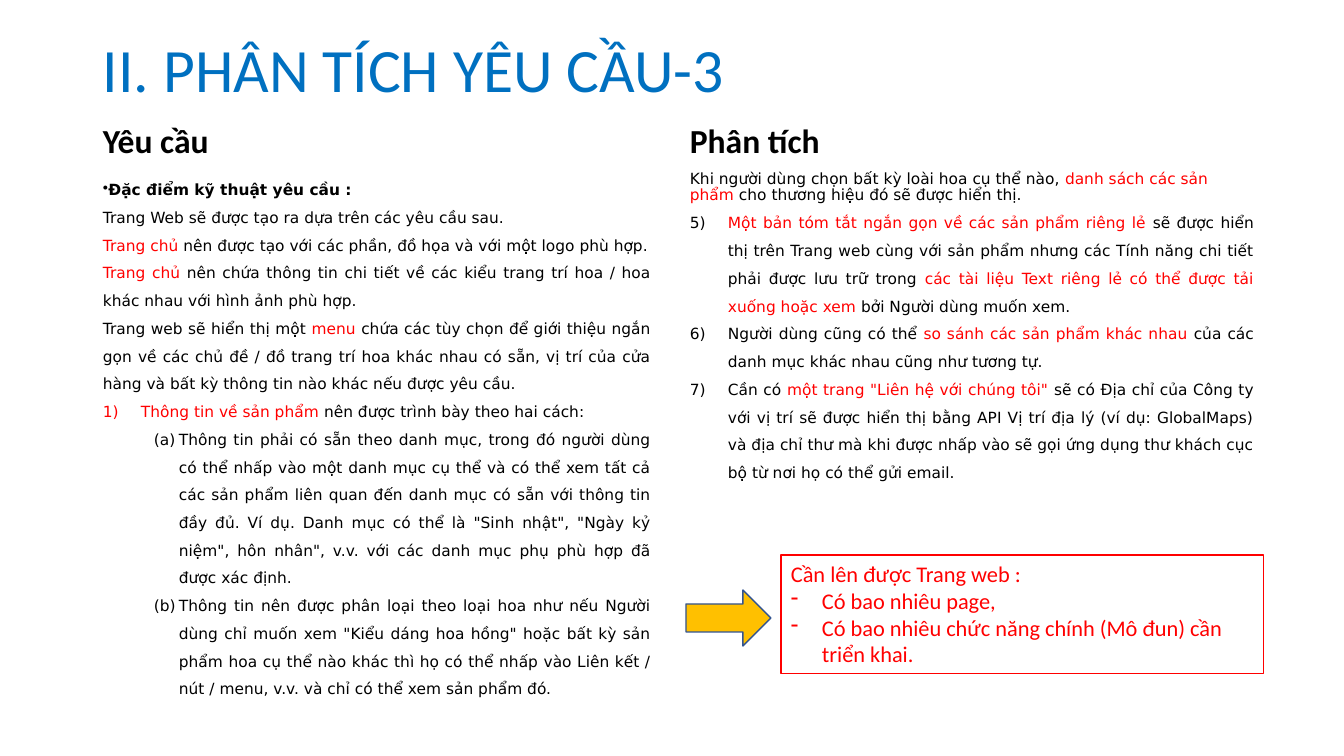
import pptx
import pptx.util
import pptx.dml.color
import pptx.enum.shapes
import pptx.enum.text
import lxml.etree

SCALE = 12192000 / 1344
BLACK, RED, BLUE, AMBER, NAVY = "000000", "FF0000", "0070C0", "FFC000", "325491"
ALIGN = pptx.enum.text.PP_ALIGN
ANCHOR = pptx.enum.text.MSO_ANCHOR
SHAPE = pptx.enum.shapes.MSO_SHAPE

REQUIREMENTS = [
    dict(runs=[("Đặc điểm kỹ thuật yêu cầu :", BLACK)], bold=True, align=ALIGN.LEFT, bullet="•"),
    dict(runs=[("Trang Web sẽ được tạo ra dựa trên các yêu cầu sau.", BLACK)]),
    dict(runs=[("Trang chủ ", RED),
               ("nên được tạo với các phần, đồ họa và với một logo phù hợp.", BLACK)]),
    dict(runs=[("Trang chủ ", RED),
               ("nên chứa thông tin chi tiết về các kiểu trang trí hoa / hoa khác nhau "
                "với hình ảnh phù hợp.", BLACK)]),
    dict(runs=[("Trang web sẽ hiển thị một ", BLACK), ("menu", RED),
               (" chứa các tùy chọn để giới thiệu ngắn gọn về các chủ đề / đồ trang trí hoa "
                "khác nhau có sẵn, vị trí của cửa hàng và bất kỳ thông tin nào khác nếu được "
                "yêu cầu.", BLACK)]),
    dict(runs=[("Thông tin về sản phẩm ", RED), ("nên được trình bày theo hai cách:", BLACK)],
         number="arabicParenR", left=38, hang=38),
    dict(runs=[("Thông tin phải có sẵn theo danh mục, trong đó người dùng có thể nhấp vào một "
                "danh mục cụ thể và có thể xem tất cả các sản phẩm liên quan đến danh mục có sẵn "
                "với thông tin đầy đủ. Ví dụ. Danh mục có thể là \"Sinh nhật\", \"Ngày kỷ niệm\", "
                "hôn nhân\", v.v. với các danh mục phụ phù hợp đã được xác định.", BLACK)],
         number="alphaLcParenBoth", left=76, hang=25, level=1),
    dict(runs=[("Thông tin nên được phân loại theo loại hoa như nếu Người dùng chỉ muốn xem "
                "\"Kiểu dáng hoa hồng\" hoặc bất kỳ sản phẩm hoa cụ thể nào khác thì họ có thể "
                "nhấp vào Liên kết / nút / menu, v.v. và chỉ có thể xem sản phẩm đó.", BLACK)],
         number="alphaLcParenBoth", left=76, hang=25, level=1),
]

ANALYSIS = [
    dict(runs=[("Khi người dùng chọn bất kỳ loài hoa cụ thể nào, ", BLACK),
               ("danh sách các sản phẩm ", RED),
               ("cho thương hiệu đó sẽ được hiển thị.", BLACK)],
         align=ALIGN.LEFT, spacing=0.9),
    dict(runs=[("Một bản tóm tắt ngắn gọn về các sản phẩm riêng lẻ ", RED),
               ("sẽ được hiển thị trên Trang web cùng với sản phẩm nhưng các Tính năng chi tiết "
                "phải được lưu trữ trong ", BLACK),
               ("các tài liệu Text riêng lẻ có thể được tải xuống hoặc xem ", RED),
               ("bởi Người dùng muốn xem.", BLACK)],
         number="arabicParenR", start=5, left=38, hang=38, number_color=BLACK),
    dict(runs=[("Người dùng cũng có thể ", BLACK), ("so sánh các sản phẩm khác nhau", RED),
               (" của các danh mục khác nhau cũng như tương tự.", BLACK)],
         number="arabicParenR", start=5, left=38, hang=38),
    dict(runs=[("Cần có ", BLACK), ("một trang \"Liên hệ với chúng tôi\" ", RED),
               ("sẽ có Địa chỉ của Công ty với vị trí sẽ được hiển thị bằng API Vị trí địa lý "
                "(ví dụ: GlobalMaps) và địa chỉ thư mà khi được nhấp vào sẽ gọi ứng dụng thư "
                "khách cục bộ từ nơi họ có thể gửi email.", BLACK)],
         number="arabicParenR", start=5, left=38, hang=38),
]

CALLOUT = [
    dict(runs=[("Cần lên được Trang web :", RED)]),
    dict(runs=[("Có bao nhiêu page,", RED)], bullet="-", left=31, hang=31),
    dict(runs=[("Có bao nhiêu chức năng chính (Mô đun) cần triển khai.", RED)],
         bullet="-", left=31, hang=31),
]


def px(n):
    return pptx.util.Emu(round(n * SCALE))


def rgb(value):
    return pptx.dml.color.RGBColor.from_string(value)


def add_bullet(p, bullet, number, start, left, hang, color):
    pPr = p._p.get_or_add_pPr()
    pPr.set("marL", str(px(left)))
    pPr.set("indent", str(-px(hang)))
    ns = pptx.oxml.ns.qn
    if color:
        buClr = lxml.etree.SubElement(pPr, ns("a:buClr"))
        lxml.etree.SubElement(buClr, ns("a:srgbClr")).set("val", color)
    if number:
        bu = lxml.etree.SubElement(pPr, ns("a:buAutoNum"))
        bu.set("type", number)
        if start > 1:
            bu.set("startAt", str(start))
    elif bullet:
        lxml.etree.SubElement(pPr, ns("a:buChar")).set("char", bullet)


def add_paragraph(p, font, size, runs, bold=False, align=ALIGN.LEFT, spacing=1.0, level=0,
                  bullet=None, number=None, start=1, left=0, hang=0, number_color=None):
    p.alignment = align
    p.line_spacing = spacing
    p.level = level
    add_bullet(p, bullet, number, start, left, hang, number_color)
    for text, color in runs:
        r = p.add_run()
        r.text = text
        r.font.name = font
        r.font.size = pptx.util.Pt(size)
        r.font.bold = bold
        r.font.color.rgb = rgb(color)


def fill_text(tf, paragraphs, font, size, anchor=ANCHOR.TOP, **defaults):
    tf.word_wrap = True
    tf.vertical_anchor = anchor
    for i, paragraph in enumerate(paragraphs):
        p = tf.add_paragraph() if i else tf.paragraphs[0]
        add_paragraph(p, font, size, **{**defaults, **paragraph})


def add_text(s, x, y, w, h, paragraphs, font, size, **options):
    sp = s.shapes.add_textbox(px(x), px(y), px(w), px(h))
    fill_text(sp.text_frame, paragraphs, font, size, **options)


def add_title(s, x, y, w, h):
    add_text(s, x, y, w, h, [dict(runs=[("II. PHÂN TÍCH YÊU CẦU-3", BLUE)])],
             "Calibri", 44, anchor=ANCHOR.MIDDLE, spacing=0.9)


def add_column(s, x, y, w, h, heading, paragraphs):
    head = 46
    add_text(s, x, y, w, head, [dict(runs=[(heading, BLACK)])],
             "Calibri", 24, anchor=ANCHOR.BOTTOM, bold=True, spacing=0.9)
    add_text(s, x, y + head, w, h - head, paragraphs,
             "DejaVu Sans", 11, align=ALIGN.JUSTIFY, spacing=1.5)


def add_outlined(s, kind, x, y, w, h, line, width):
    sp = s.shapes.add_shape(kind, px(x), px(y), px(w), px(h))
    sp.shadow.inherit = False
    sp.fill.background()
    sp.line.color.rgb = rgb(line)
    sp.line.width = pptx.util.Pt(width)
    return sp


def add_callout(s, x, y, w, h):
    box_left = 95
    box = add_outlined(s, SHAPE.RECTANGLE, x + box_left, y, w - box_left, h, RED, 0.75)
    fill_text(box.text_frame, CALLOUT, "Calibri", 16)
    arrow = add_outlined(s, SHAPE.RIGHT_ARROW, x, y + 35, 85, 56, NAVY, 1)
    arrow.fill.solid()
    arrow.fill.fore_color.rgb = rgb(AMBER)


def main():
    prs = pptx.Presentation()
    prs.slide_width, prs.slide_height = px(1344), px(756)
    s = prs.slides.add_slide(prs.slide_layouts[6])
    add_title(s, 93, 0, 1159, 146)
    add_column(s, 93, 120, 568, 554, "Yêu cầu", REQUIREMENTS)
    add_column(s, 680, 120, 584, 554, "Phân tích", ANALYSIS)
    add_callout(s, 686, 555, 578, 119)
    prs.save("out.pptx")


if __name__ == "__main__":
    main()
